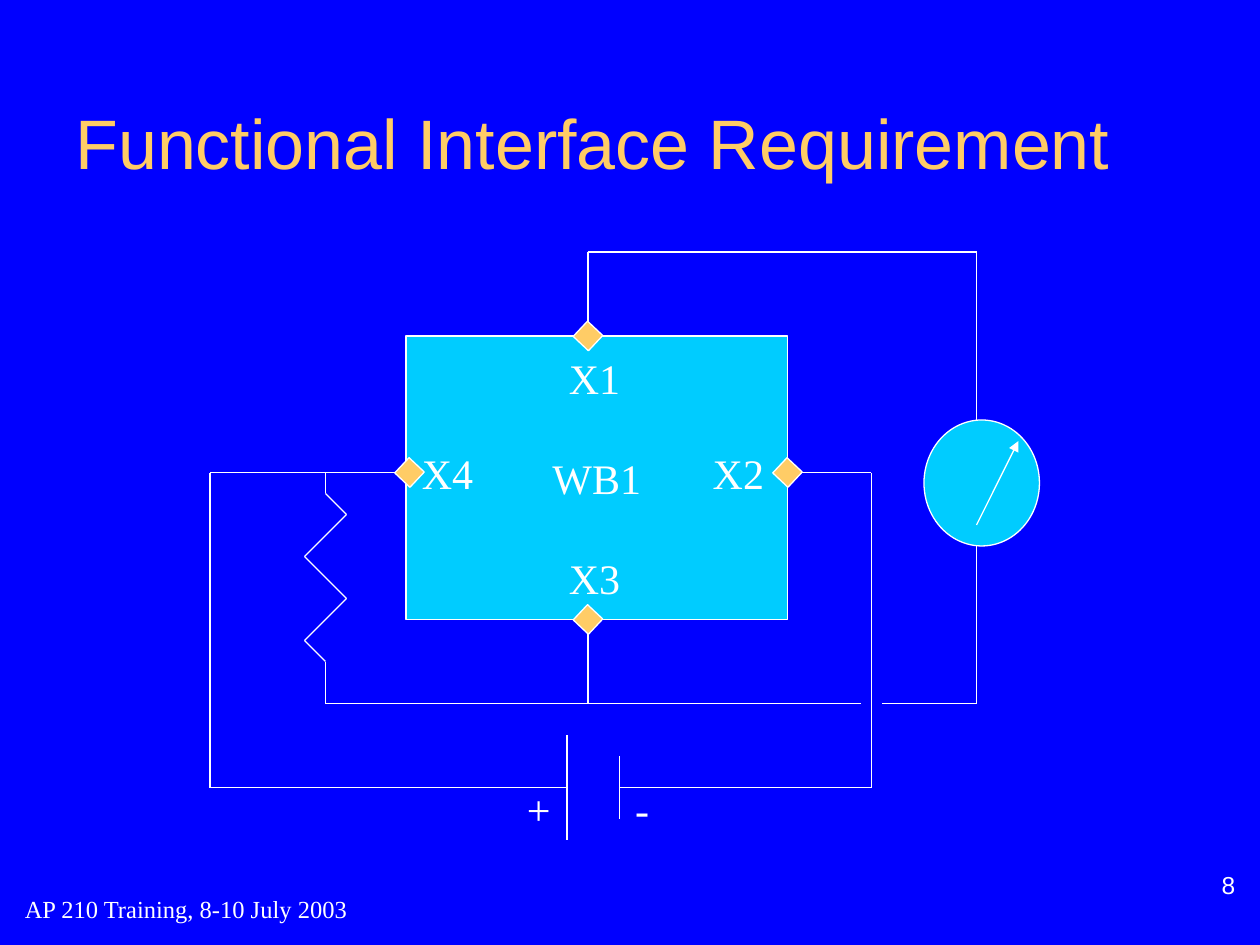
from itertools import pairwise

from lxml import etree
from pptx import Presentation
from pptx import util as u
from pptx.dml.color import RGBColor
from pptx.enum import shapes, text
from pptx.oxml import ns

BLUE = RGBColor(0x00, 0x00, 0xFF)
CYAN = RGBColor(0x00, 0xCC, 0xFF)
GOLD = RGBColor(0xFF, 0xCC, 0x66)
WHITE = RGBColor(0xFF, 0xFF, 0xFF)
SERIF, SANS = "Times New Roman", "Arial"
LEFT, CENTER, RIGHT = text.PP_ALIGN.LEFT, text.PP_ALIGN.CENTER, text.PP_ALIGN.RIGHT
MIDDLE = text.MSO_ANCHOR.MIDDLE

# Circuit points, in grid units; each path is a run of straight wires.
WIRES = [
    [(56, 32), (56, 24), (93, 24), (93, 41)],  # X1 to meter
    [(93, 50), (93, 67), (84, 67)],  # meter to wire crossing
    [(82, 67), (56, 67), (31, 67), (31, 63)],  # crossing to resistor
    [(56, 67), (56, 59)],  # X3
    [(31, 63), (29, 61), (33, 57), (29, 53), (33, 49), (31, 47)],  # resistor
    [(31, 47), (31, 45)],
    [(38, 45), (20, 45), (20, 75), (54, 75)],  # X4 to battery plus
    [(75, 45), (83, 45), (83, 75), (59, 75)],  # X2 to battery minus
    [(54, 70), (54, 80)],  # battery plates
    [(59, 72), (59, 78)],
]
TERMINALS = [(56, 59), (75, 45), (56, 32), (39, 45)]
LABELS = [
    ("X1", 53, 33), ("X2", 66.7, 42), ("X3", 53, 52), ("X4", 39, 42),
    ("+", 49, 74), ("-", 59.3, 74),
]


def grid(units):
    """Length of circuit grid units, twelve to the inch."""
    return u.Cm(units * 2.54 / 12)


def write(frame, words, *, size=24, font=SERIF, color=WHITE, align=LEFT,
          anchor=text.MSO_ANCHOR.TOP, wrap=False, margin_y=0.13):
    frame.auto_size = text.MSO_AUTO_SIZE.NONE
    frame.word_wrap = wrap
    frame.vertical_anchor = anchor
    frame.margin_left = frame.margin_right = u.Cm(0.25)
    frame.margin_top = frame.margin_bottom = u.Cm(margin_y)
    paragraph = frame.paragraphs[0]
    paragraph.alignment = align
    run = paragraph.add_run()
    run.text = words
    run.font.size = u.Pt(size)
    run.font.name = font
    run.font.color.rgb = color


def add_label(slide, words, left, top, width, height, **style):
    box = slide.shapes.add_textbox(left, top, width, height)
    write(box.text_frame, words, **style)


def add_wire(slide, start, end, arrow=False):
    wire = slide.shapes.add_connector(
        shapes.MSO_CONNECTOR.STRAIGHT, *map(grid, start + end))
    wire.line.color.rgb = WHITE
    wire.line.width = u.Pt(0.75)
    if arrow:
        etree.SubElement(wire.line._get_or_add_ln(), ns.qn("a:tailEnd"), type="triangle")
    etree.SubElement(wire._element.spPr, ns.qn("a:effectLst"))


def add_part(slide, kind, left, top, width, height, fill):
    part = slide.shapes.add_shape(kind, *map(grid, (left, top, width, height)))
    part.shadow.inherit = False
    part.fill.solid()
    part.fill.fore_color.rgb = fill
    part.line.color.rgb = WHITE
    part.line.width = u.Pt(0.75)
    return part


def add_title(slide, words):
    title = slide.shapes.title
    title.left, title.top = u.Cm(1.27), u.Cm(1.27)
    title.width, title.height = u.Cm(22.86), u.Cm(3.18)
    write(title.text_frame, words, size=40, font=SANS, color=GOLD,
          anchor=MIDDLE, wrap=True)


def add_circuit(slide):
    for points in WIRES:
        for start, end in pairwise(points):
            add_wire(slide, start, end)

    block = add_part(slide, shapes.MSO_SHAPE.RECTANGLE, 38.67, 32, 36.33, 27, CYAN)
    write(block.text_frame, "WB1", align=CENTER, anchor=MIDDLE)
    for words, left, top in LABELS:
        add_label(slide, words, grid(left), grid(top), grid(7.3), grid(6))
    for x, y in TERMINALS:
        terminal = add_part(slide, shapes.MSO_SHAPE.RECTANGLE, x - 1, y - 1, 2, 2, GOLD)
        terminal.rotation = 43.3

    add_part(slide, shapes.MSO_SHAPE.OVAL, 88, 40, 11, 12, CYAN)
    add_wire(slide, (93, 50), (97, 42), arrow=True)


def main():
    deck = Presentation()
    deck.slide_width, deck.slide_height = u.Cm(25.4), u.Cm(19.05)
    slide = deck.slides.add_slide(deck.slide_layouts[5])
    slide.background.fill.solid()
    slide.background.fill.fore_color.rgb = BLUE

    add_title(slide, "Functional Interface Requirement")
    add_circuit(slide)
    add_label(slide, "AP 210 Training, 8-10 July 2003",
              u.Cm(0.25), u.Cm(17.68), u.Cm(11.86), u.Cm(1.27),
              size=14, anchor=MIDDLE, wrap=True)
    add_label(slide, "8", u.Cm(19.94), u.Cm(17.07), u.Cm(5.21), u.Cm(1.07),
              size=14, font=SANS, align=RIGHT, anchor=text.MSO_ANCHOR.BOTTOM,
              wrap=True, margin_y=0)
    deck.save("out.pptx")


if __name__ == "__main__":
    main()
